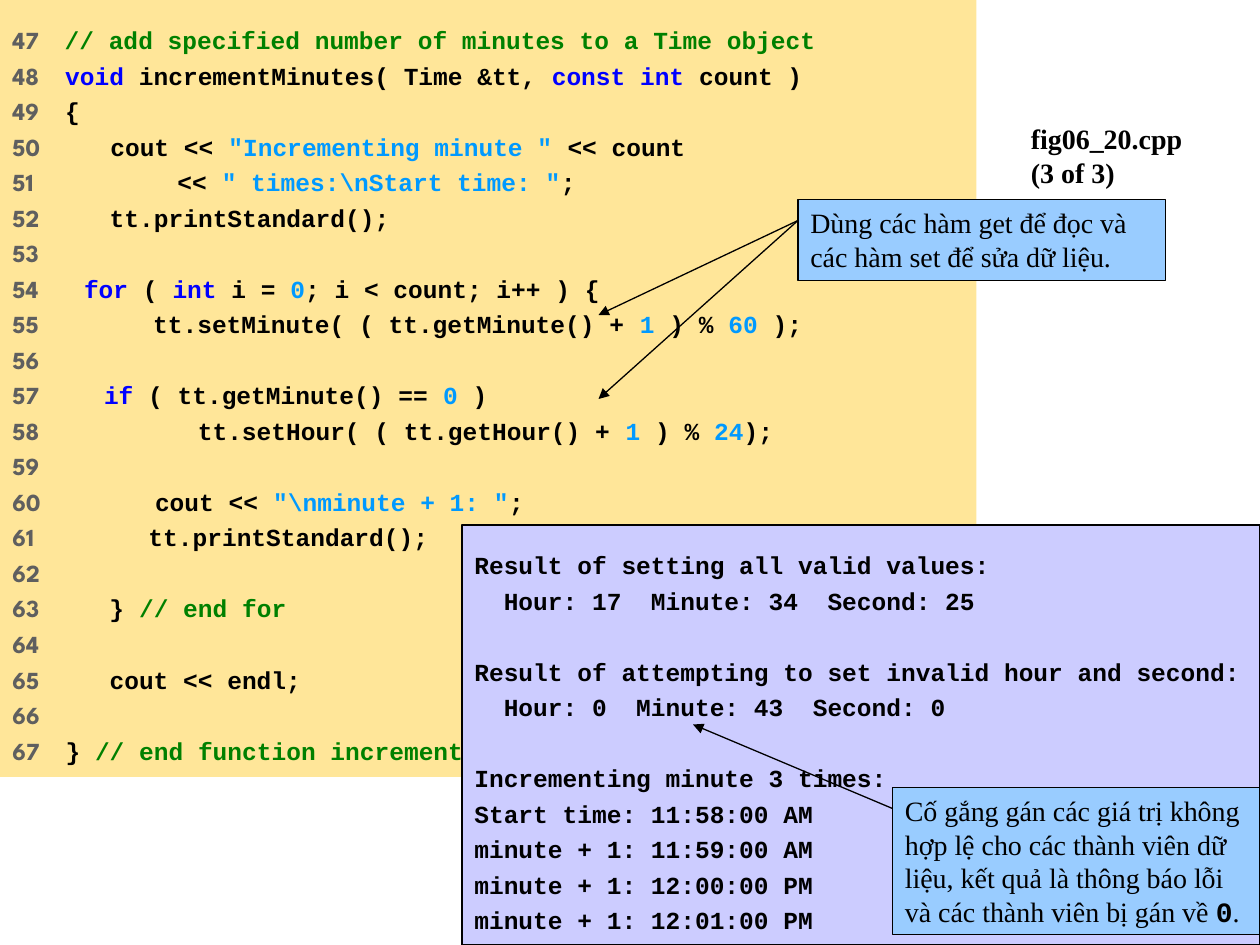
from lxml import etree
from pptx import Presentation
from pptx.dml.color import RGBColor
from pptx.enum.shapes import MSO_CONNECTOR, MSO_SHAPE
from pptx.enum.text import MSO_ANCHOR, PP_ALIGN
from pptx.oxml.ns import qn
from pptx.util import Pt

PX = 7620
RECTANGLE = MSO_SHAPE.RECTANGLE
STRAIGHT = MSO_CONNECTOR.STRAIGHT
TOP = MSO_ANCHOR.TOP
LEFT = PP_ALIGN.LEFT
BLACK = RGBColor(0x00, 0x00, 0x00)
GREY = RGBColor(0x5F, 0x5F, 0x5F)
GREEN = RGBColor(0x00, 0x80, 0x00)
BLUE = RGBColor(0x00, 0x00, 0xFF)
SKY = RGBColor(0x00, 0x99, 0xFF)
CREAM = RGBColor(0xFF, 0xE6, 0x99)
LILAC = RGBColor(0xCC, 0xCC, 0xFF)
PALE_BLUE = RGBColor(0x99, 0xCC, 0xFF)
CODE_FONT = "Courier New"
NUMBER_FONT = "League Spartan"
BODY_FONT = "Times New Roman"


def add_span(para, text, font=CODE_FONT, size=14, color=BLACK, bold=True):
    span = para.add_run()
    span.text = text
    span.font.name = font
    span.font.size = Pt(size)
    span.font.bold = bold
    span.font.color.rgb = color


def add_panel(page, left, top, width, height, fill, line=None, inset=6):
    box = page.shapes.add_shape(RECTANGLE, left * PX, top * PX, width * PX, height * PX)
    box.shadow.inherit = False
    box.fill.solid()
    box.fill.fore_color.rgb = fill
    if line is None:
        box.line.fill.background()
    else:
        box.line.color.rgb = line
        box.line.width = Pt(0.75)
    frame = box.text_frame
    frame.word_wrap = True
    frame.vertical_anchor = TOP
    frame.margin_left = frame.margin_right = 12 * PX
    frame.margin_top = frame.margin_bottom = inset * PX
    frame.paragraphs[0].alignment = LEFT
    return frame


deck = Presentation()
deck.slide_width = 1200 * PX
deck.slide_height = 900 * PX
page = deck.slides.add_slide(deck.slide_layouts[6])

title = page.shapes.add_textbox(970 * PX, 110 * PX, 230 * PX, 630 * PX).text_frame
title.word_wrap = True
add_span(title.paragraphs[0], "fig06_20.cpp", font=BODY_FONT, size=16)
add_span(title.add_paragraph(), "(3 of 3)", font=BODY_FONT, size=16)

code_lines = [
    ("47    ", [("// add specified number of minutes to a Time object", GREEN)]),
    ("48    ", [("void", BLUE), (" incrementMinutes( Time &tt, ", BLACK),
                ("const int", BLUE), (" count )", BLACK)]),
    ("49    ", [("{", BLACK)]),
    ("50    ", [("   cout << ", BLACK), ('"Incrementing minute "', SKY), (" << count", BLACK)]),
    ("51    ", [("        <<", BLACK), (r' " times:\nStart time: "', SKY), (";", BLACK)]),
    ("52    ", [("   tt.printStandard();", BLACK)]),
    ("53", []),
    ("54       ", [("for", BLUE), (" ( ", BLACK), ("int", BLUE), (" i = ", BLACK),
                   ("0", SKY), ("; i < count; i++ ) {", BLACK)]),
    ("55    ", [("      tt.setMinute( ( tt.getMinute() + ", BLACK), ("1", SKY),
                (" ) % ", BLACK), ("60 ", SKY), (");", BLACK)]),
    ("56", []),
    ("57          ", [("if", BLUE), (" ( tt.getMinute() == ", BLACK), ("0", SKY), (" )", BLACK)]),
    ("58    ", [("         tt.setHour( ( tt.getHour() + ", BLACK), ("1", SKY),
                (" ) % ", BLACK), ("24", SKY), (");", BLACK)]),
    ("59", []),
    ("60    ", [("      cout <<", BLACK), (r' "\nminute + 1: "', SKY), (";", BLACK)]),
    ("61    ", [("      tt.printStandard();", BLACK)]),
    ("62", []),
    ("63    ", [("   } ", BLACK), ("// end for", GREEN)]),
    ("64", []),
    ("65    ", [("   cout << endl;", BLACK)]),
    ("66", []),
    ("67    ", [("} ", BLACK), ("// end function incrementMinutes", GREEN)]),
]
code = add_panel(page, 0, 0, 930, 740, CREAM, inset=24)
for index, (number, parts) in enumerate(code_lines):
    para = code.add_paragraph() if index else code.paragraphs[0]
    para.alignment = LEFT
    para.space_before = Pt(3.5)
    add_span(para, number, font=NUMBER_FONT, color=GREY)
    for text, color in parts:
        add_span(para, text, color=color)

output_groups = [
    ["Result of setting all valid values:", "  Hour: 17  Minute: 34  Second: 25"],
    ["Result of attempting to set invalid hour and second:", "  Hour: 0  Minute: 43  Second: 0"],
    ["Incrementing minute 3 times:", "Start time: 11:58:00 AM", "minute + 1: 11:59:00 AM",
     "minute + 1: 12:00:00 PM", "minute + 1: 12:01:00 PM"],
]
output = add_panel(page, 440, 500, 760, 400, LILAC, line=BLACK, inset=24)
for group_index, group in enumerate(output_groups):
    for line_index, text in enumerate(group):
        first = group_index == line_index == 0
        para = output.paragraphs[0] if first else output.add_paragraph()
        para.alignment = LEFT
        para.space_before = Pt(23.8 if group_index and line_index == 0 else 3.5)
        add_span(para, text)

access_note = add_panel(page, 760, 190, 350, 77, PALE_BLUE, line=BLACK)
add_span(access_note.paragraphs[0], "Dùng các hàm get để đọc và các hàm set để sửa dữ liệu.",
         font=BODY_FONT, size=16, bold=False)

error_note = add_panel(page, 850, 750, 350, 140, PALE_BLUE, line=BLACK)
error_para = error_note.paragraphs[0]
add_span(error_para, "Cố gắng gán các giá trị không hợp lệ cho các thành viên dữ liệu, "
         "kết quả là thông báo lỗi và các thành viên bị gán về ",
         font=BODY_FONT, size=16, bold=False)
add_span(error_para, "0", size=16)
add_span(error_para, ".", font=BODY_FONT, size=16, bold=False)

arrows = [(760, 210, 570, 300), (760, 210, 570, 380), (850, 770, 660, 690)]
for start_x, start_y, end_x, end_y in arrows:
    arrow = page.shapes.add_connector(STRAIGHT, start_x * PX, start_y * PX, end_x * PX, end_y * PX)
    arrow.line.color.rgb = BLACK
    arrow.line.width = Pt(0.75)
    etree.SubElement(arrow.line._get_or_add_ln(), qn("a:tailEnd"), type="triangle")
    etree.SubElement(arrow._element.spPr, qn("a:effectLst"))

deck.save("out.pptx")
